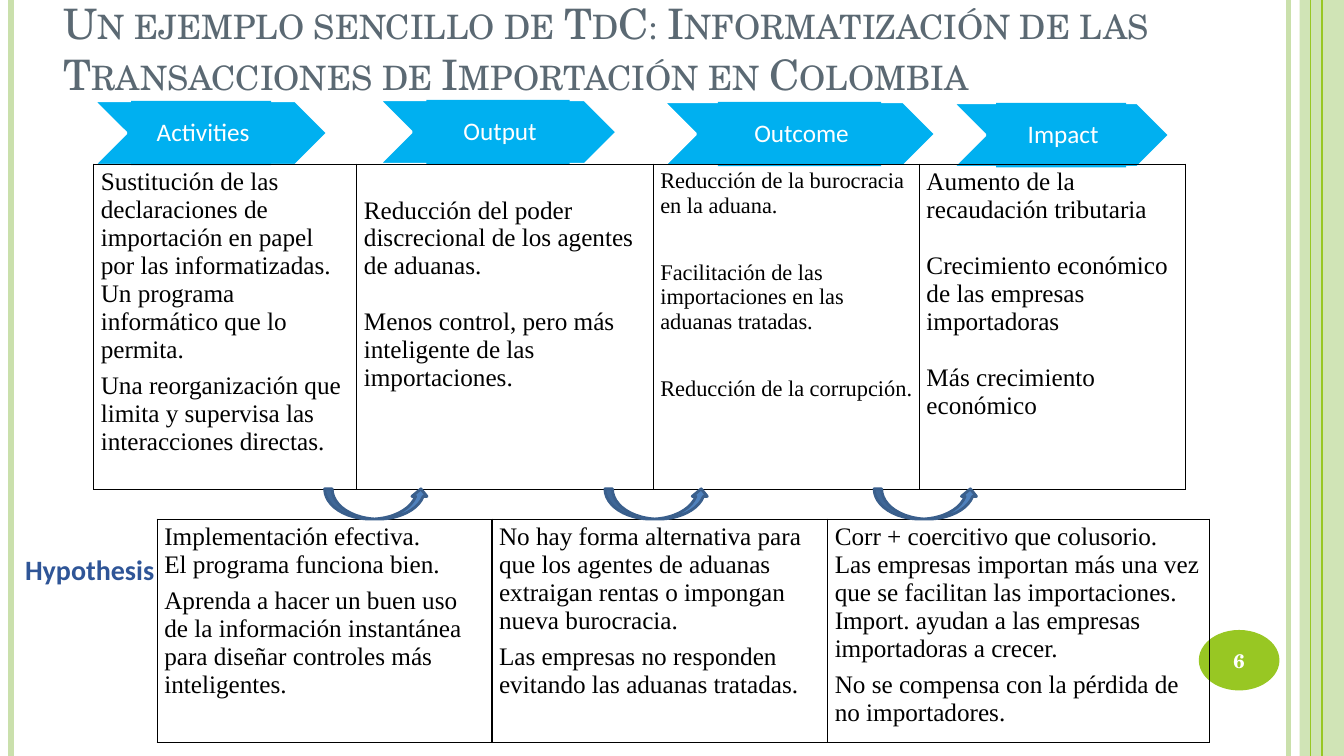
from lxml import etree
from pptx import Presentation
from pptx.dml.color import RGBColor
from pptx.enum.shapes import MSO_CONNECTOR, MSO_SHAPE
from pptx.enum.text import MSO_ANCHOR, MSO_AUTO_SIZE, PP_ALIGN
from pptx.oxml import parse_xml
from pptx.oxml.ns import nsdecls, qn
from pptx.util import Inches, Pt

PALE_GREEN = RGBColor(0xCA, 0xE0, 0xAC)
GREEN = RGBColor(0x98, 0xC7, 0x23)
SLATE = RGBColor(0x5B, 0x69, 0x73)
SKY = RGBColor(0x00, 0xB0, 0xF0)
STEEL = RGBColor(0x4F, 0x81, 0xBD)
STEEL_EDGE = RGBColor(0x3A, 0x5F, 0x8C)
NAVY = RGBColor(0x2F, 0x55, 0x97)
WHITE = RGBColor(0xFF, 0xFF, 0xFF)
BLACK = RGBColor(0, 0, 0)

prs = Presentation()
prs.slide_width, prs.slide_height = Inches(13.33), Inches(7.5)
slide = prs.slides.add_slide(prs.slide_layouts[5])
shapes = slide.shapes


def add_filled(preset, left, top, width, height, color, edge=None):
    shape = shapes.add_shape(preset, Inches(left), Inches(top), Inches(width), Inches(height))
    shape.shadow.inherit = False
    shape.fill.solid()
    shape.fill.fore_color.rgb = color
    if edge is None:
        shape.line.fill.background()
    else:
        shape.line.color.rgb = edge
        shape.line.width = Pt(2)
    return shape


def style_text(paragraph, font_name, size, color, bold=False):
    for run in paragraph.runs:
        run.font.name = font_name
        run.font.size = Pt(size)
        run.font.color.rgb = color
        run.font.bold = bold


# Side band and vertical rules
band = add_filled(MSO_SHAPE.RECTANGLE, 12.89, 0, 0.44, 7.5, PALE_GREEN)
band_color = band.fill._xPr.find(qn("a:solidFill"))[0]
etree.SubElement(band_color, qn("a:alpha"), val="87000")
for x, color, weight in [(12.78, PALE_GREEN, 3), (0.11, PALE_GREEN, 4.5),
                         (13.11, GREEN, 1.5), (13, GREEN, 0.75)]:
    rule = shapes.add_connector(MSO_CONNECTOR.STRAIGHT, Inches(x), 0, Inches(x), Inches(7.5))
    rule.line.color.rgb = color
    rule.line.width = Pt(weight)
    etree.SubElement(rule._element.spPr, qn("a:effectLst"))

# Page number in its oval
page_number = add_filled(MSO_SHAPE.OVAL, 11.89, 6.25, 0.8, 0.6, GREEN)
page_number.text_frame.text = "6"
page_number.text_frame.paragraphs[0].alignment = PP_ALIGN.CENTER
style_text(page_number.text_frame.paragraphs[0], "TeX Gyre Schola", 14, WHITE, True)

# Title
title = shapes.title
title.left, title.top = Inches(0.53), Inches(0.02)
title.width, title.height = Inches(11.98), Inches(1.01)
title.text_frame.text = ("Un ejemplo sencillo de TdC: Informatización de las "
                         "Transacciones de Importación en Colombia")
title.text_frame.auto_size = MSO_AUTO_SIZE.NONE
title.text_frame.vertical_anchor = MSO_ANCHOR.BOTTOM
heading = title.text_frame.paragraphs[0]
heading.alignment = PP_ALIGN.LEFT
style_text(heading, "TeX Gyre Schola", 30, SLATE)
heading.runs[0].font._element.set("cap", "small")

# Stage chevrons: name, top, chevron left and width, label left and width
stages = [
    ("Activities", 1, 0.93, 2.32, 1.3, 1.39),
    ("Output", 0.99, 3.76, 2.36, 4.23, 1.42),
    ("Outcome", 1.01, 6.58, 2.7, 7.12, 1.62),
    ("Impact", 1.02, 9.45, 2.15, 9.88, 1.29),
]
for name, top, left, width, label_left, label_width in stages:
    add_filled(MSO_SHAPE.CHEVRON, left, top, width, 0.64, SKY, WHITE)
    label = add_filled(MSO_SHAPE.RECTANGLE, label_left, top, label_width, 0.64, SKY)
    frame = label.text_frame
    frame.margin_left = Inches(0.06)
    frame.margin_right = frame.margin_top = frame.margin_bottom = Inches(0.02)
    frame.vertical_anchor = MSO_ANCHOR.MIDDLE
    frame.text = name
    frame.paragraphs[0].alignment = PP_ALIGN.CENTER
    frame.paragraphs[0].line_spacing = 0.9
    style_text(frame.paragraphs[0], "Calibri", 18, WHITE)

# Cells: text size, top margin, then paragraphs as (space before, text)
stage_cells = [
    (18, 0.04, [
        (0, "Sustitución de las declaraciones de importación en papel por las informatizadas."),
        (0, "Un programa informático que lo permita."),
        (6, "Una reorganización que limita y supervisa las interacciones directas.")]),
    (18, 0.32, [
        (0, "Reducción del poder discrecional de los agentes de aduanas."),
        (20, "Menos control, pero más inteligente de las importaciones.")]),
    (16, 0.04, [
        (0, "Reducción de la burocracia en la aduana."),
        (30, "Facilitación de las importaciones en las aduanas tratadas."),
        (30, "Reducción de la corrupción.")]),
    (18, 0.04, [
        (0, "Aumento de la recaudación tributaria"),
        (20, "Crecimiento económico de las empresas importadoras"),
        (20, "Más crecimiento económico")]),
]
hypothesis_cells = [
    (18, 0.04, [
        (0, "Implementación efectiva."),
        (0, "El programa funciona bien."),
        (6, "Aprenda a hacer un buen uso de la información instantánea "
            "para diseñar controles más inteligentes.")]),
    (18, 0.04, [
        (0, "No hay forma alternativa para que los agentes de aduanas "
            "extraigan rentas o impongan nueva burocracia."),
        (6, "Las empresas no responden evitando las aduanas tratadas.")]),
    (18, 0.04, [
        (0, "Corr + coercitivo que colusorio."),
        (0, "Las empresas importan más una vez que se facilitan las importaciones."),
        (0, "Import. ayudan a las empresas importadoras a crecer."),
        (6, "No se compensa con la pérdida de no importadores.")]),
]

# Stage table and hypothesis table
for left, top, height, widths, contents in [
        (0.93, 1.63, 3.23, [2.61, 2.94, 2.64, 2.64], stage_cells),
        (1.56, 5.15, 2.22, [3.32, 3.33, 3.79], hypothesis_cells)]:
    table = shapes.add_table(1, len(widths), Inches(left), Inches(top),
                             Inches(sum(widths)), Inches(height)).table
    table.first_row = table.horz_banding = False
    for column, width, cell, (size, top_margin, paragraphs) in zip(
            table.columns, widths, table.rows[0].cells, contents):
        column.width = Inches(width)
        cell.margin_left = cell.margin_right = Inches(0.07)
        cell.margin_top, cell.margin_bottom = Inches(top_margin), Inches(0.04)
        cell.text_frame.text = "\n".join(text for gap, text in paragraphs)
        for paragraph, (gap, text) in zip(cell.text_frame.paragraphs, paragraphs):
            paragraph.space_before = Pt(gap)
            style_text(paragraph, "Times New Roman", size, BLACK)
        for side in ("lnL", "lnR", "lnT", "lnB"):
            cell._tc.get_or_add_tcPr().append(parse_xml(
                f'<a:{side} {nsdecls("a")} w="12700"><a:solidFill>'
                f'<a:srgbClr val="{BLACK}"/></a:solidFill></a:{side}>'))
        cell.fill.background()

# Curved arrows between the stages
for left in (3.22, 6, 8.67):
    add_filled(MSO_SHAPE.CURVED_UP_ARROW, left, 4.85, 1.03, 0.3, STEEL, STEEL_EDGE)

# Hypothesis label
hypothesis = shapes.add_textbox(Inches(0.15), Inches(5.43), Inches(1.57), Inches(0.44))
hypothesis.text_frame.word_wrap = True
hypothesis.text_frame.text = "Hypothesis"
style_text(hypothesis.text_frame.paragraphs[0], "Calibri", 20, NAVY, True)

prs.save("out.pptx")
